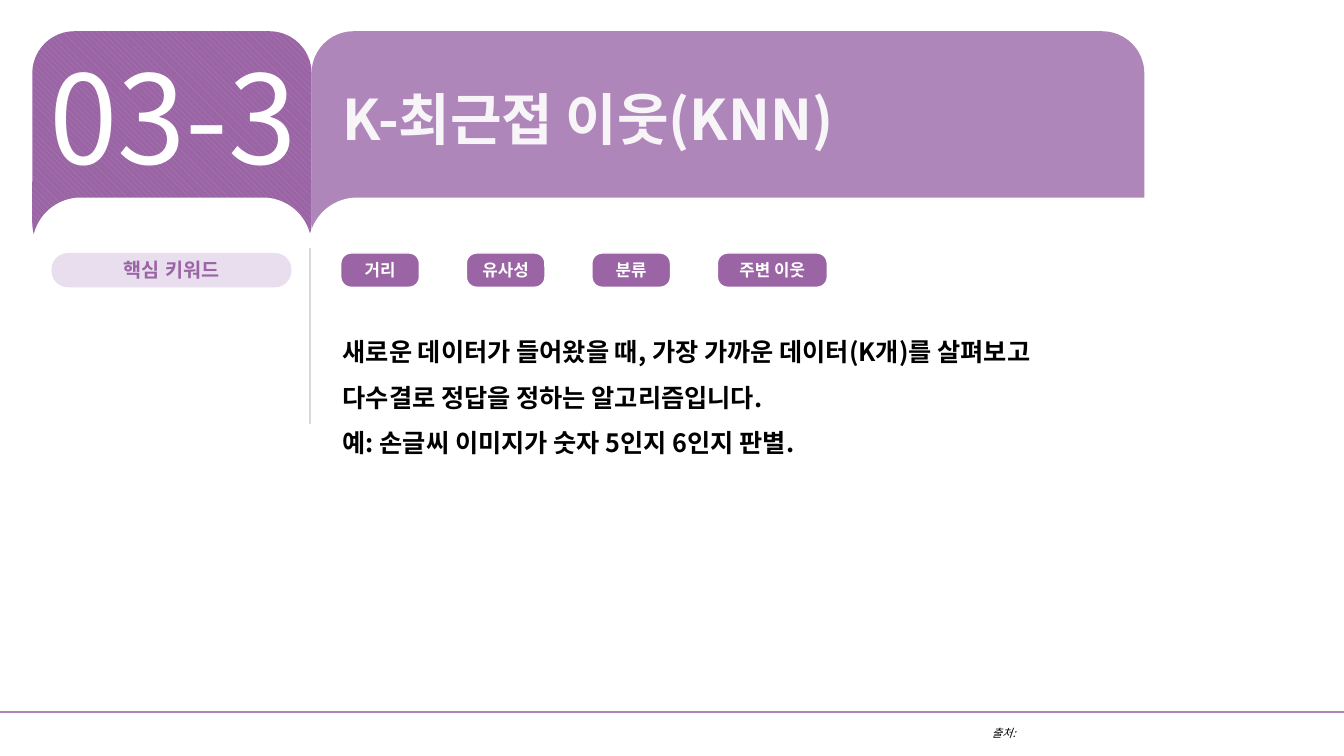
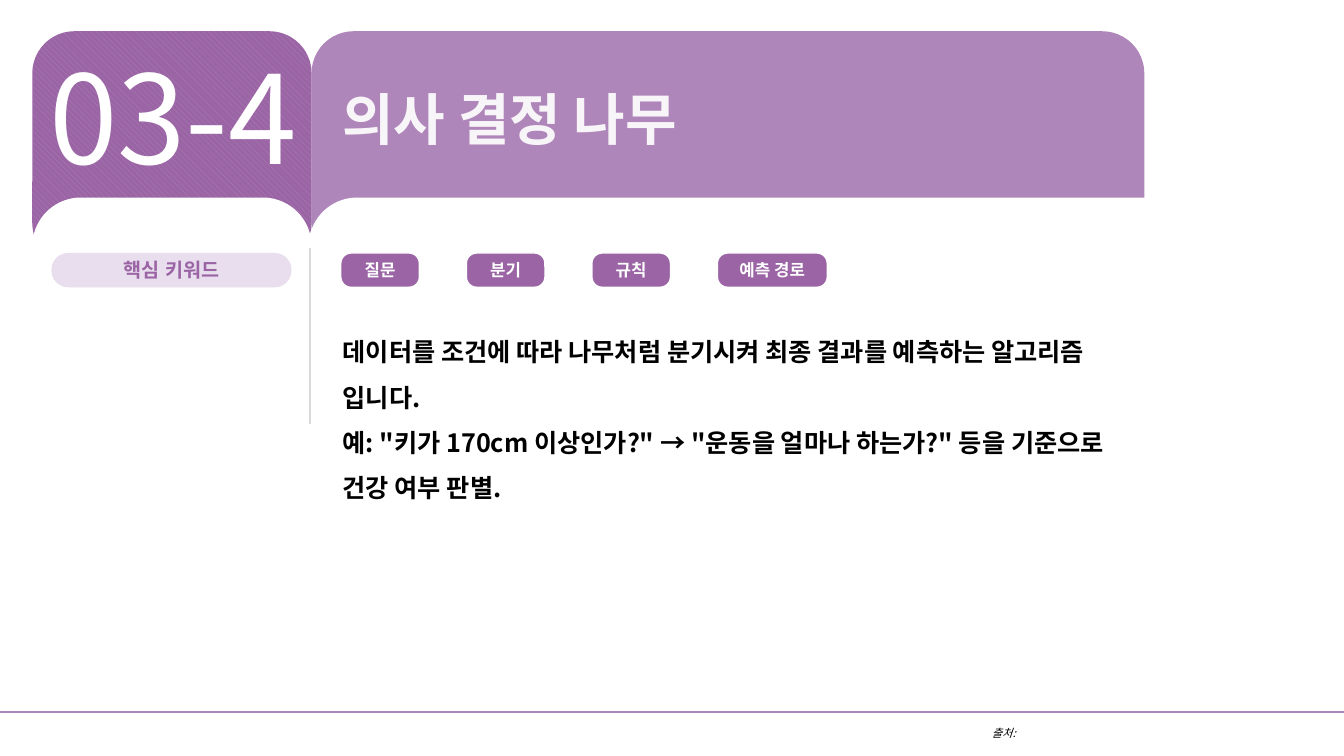
from lxml import etree
from pptx import Presentation, util as u
from pptx.dml.color import RGBColor
from pptx.enum import dml, shapes, text
from pptx.oxml.ns import qn

PLUM = RGBColor(0x9A, 0x64, 0xA5)
LILAC = RGBColor(0xAF, 0x86, 0xBA)
RULE = RGBColor(0xAF, 0x85, 0xB9)
MIST = RGBColor(0xE8, 0xDE, 0xED)
PEARL = RGBColor(0xF8, 0xF5, 0xF9)
GREY = RGBColor(0xD9, 0xD9, 0xD9)
WHITE = RGBColor(0xFF, 0xFF, 0xFF)
BLACK = RGBColor(0, 0, 0)
SANS = "Noto Sans CJK KR"

TOPICS = [
    ("03-3", "K-최근접 이웃(KNN)", ("거리", "유사성", "분류", "주변 이웃"),
     ("새로운 데이터가 들어왔을 때, 가장 가까운 데이터(K개)를 살펴보고 "
      "다수결로 정답을 정하는 알고리즘입니다.",
      "예: 손글씨 이미지가 숫자 5인지 6인지 판별."), 3),
    ("03-4", "의사 결정 나무", ("질문", "분기", "규칙", "예측 경로"),
     ("데이터를 조건에 따라 나무처럼 분기시켜 최종 결과를 예측하는 알고리즘 입니다.",
      '예: "키가 170cm 이상인가?" → "운동을 얼마나 하는가?" 등을 '
      "기준으로 건강 여부 판별."), 4),
]


def part(box, x, y, w, h):
    """Return the part of a box given in percent of its size."""
    left, top, wide, high = box
    return (round(left + wide * x / 100), round(top + high * y / 100),
            round(wide * w / 100), round(high * h / 100))


def write(para, words, size, color, face=SANS, bold=False, italic=False):
    """Add one styled run to a paragraph."""
    run = para.add_run()
    run.text = words
    font = run.font
    font.size, font.bold, font.italic = u.Pt(size), bold, italic
    font.name = face
    font.color.rgb = color
    east = etree.SubElement(font._element, qn("a:ea"))
    east.set("typeface", face)


def label(slide, box, lines, size, color, wrap=True, space=None, **style):
    """Place a text box with one paragraph for each line."""
    frame = slide.shapes.add_textbox(*box).text_frame
    frame.word_wrap = wrap
    frame.auto_size = text.MSO_AUTO_SIZE.SHAPE_TO_FIT_TEXT
    for i, line in enumerate(lines):
        para = frame.add_paragraph() if i else frame.paragraphs[0]
        para.line_spacing = space
        write(para, line, size, color, **style)


def panel(slide, box, curve, color, edge=None):
    """Place a rounded panel."""
    shape = slide.shapes.add_shape(shapes.MSO_SHAPE.ROUNDED_RECTANGLE, *box)
    shape.adjustments[0] = curve
    shape.shadow.inherit = False
    shape.fill.solid()
    shape.fill.fore_color.rgb = color
    if edge is None:
        shape.line.fill.background()
    else:
        shape.line.color.rgb = edge
        shape.line.width = u.Pt(1)
    return shape


def tag(shape, words, size, color, face=SANS):
    """Centre bold words in a panel."""
    frame = shape.text_frame
    frame.vertical_anchor = text.MSO_ANCHOR.MIDDLE
    para = frame.paragraphs[0]
    para.alignment = text.PP_ALIGN.CENTER
    write(para, words, size, color, face, bold=True)


def rule(slide, box, color):
    """Draw a line across a box without width or height."""
    x, y, w, h = box
    line = slide.shapes.add_connector(
        shapes.MSO_CONNECTOR.STRAIGHT, x, y, x + w, y + h)
    line.line.color.rgb = color
    line.line.width = u.Pt(1.5)
    etree.SubElement(line._element.spPr, qn("a:effectLst"))


def header(slide, box, number, title):
    """Draw the number badge and the title band with curved feet."""
    badge = panel(slide, part(box, 0, 0, 23.82, 66.1), 0.18, PLUM)
    badge.fill.patterned()
    badge.fill.pattern = dml.MSO_PATTERN.WIDE_DOWNWARD_DIAGONAL
    badge.fill.fore_color.rgb = LILAC
    badge.fill.back_color.rgb = PLUM
    panel(slide, part(box, 23.82, 0, 71.02, 66.1), 0.18, LILAC)
    for x, w in ((0, 23.82), (23.56, 76.44)):
        panel(slide, part(box, x, 47, w, 53), 0.26, WHITE)
    label(slide, part(box, 0.6, 1.42, 23.65, 45), [number], 88, WHITE, wrap=False)
    label(slide, part(box, 25.62, 13.68, 46.95, 21.94), [title], 40, PEARL,
          wrap=False, bold=True)


def keywords(slide, box, words):
    """Draw the keyword heading, its divider and the row of chips."""
    top, high = 2.86, 19.43
    pill = panel(slide, part(box, 0, top, 30.91, high), 0.48, MIST)
    tag(pill, "핵심 키워드", 14, PLUM, "Arial")
    rule(slide, part(box, 33.25, 0, 0, 100), GREY)
    for i, word in enumerate(words):
        wide = 14.16 if " " in word else 10.13
        chip = panel(slide, part(box, 37.27 + 16.17 * i, top, wide, high),
                     0.3, PLUM, WHITE)
        tag(chip, word, 12, WHITE)


def footer(slide, box):
    """Draw the bottom rule and the source label."""
    rule(slide, part(box, 0, 0, 100, 0), RULE)
    label(slide, part(box, 73.07, 22.8, 27, 54.5), ["출처:"], 8, BLACK, italic=True)


def topic(deck, number, title, words, lines, rows):
    """Build one topic slide."""
    slide = deck.slides.add_slide(deck.slide_layouts[6])
    page = (0, 0, deck.slide_width, deck.slide_height)
    header(slide, part(page, 2.4, 4.13, 87.25, 46.8), number, title)
    keywords(slide, part(page, 3.83, 32.8, 57.76, 23.33), words)
    label(slide, part(page, 24.76, 41.87, 59.64, 6 * rows + 0.8), lines,
          18, BLACK, space=1.5, bold=True)
    footer(slide, part(page, 0, 94.13, 100, 5.87))


def main():
    """Build and save the deck."""
    deck = Presentation()
    deck.slide_width, deck.slide_height = u.Inches(13.33), u.Inches(7.5)
    for row in TOPICS:
        topic(deck, *row)
    deck.save("out.pptx")


if __name__ == "__main__":
    main()
